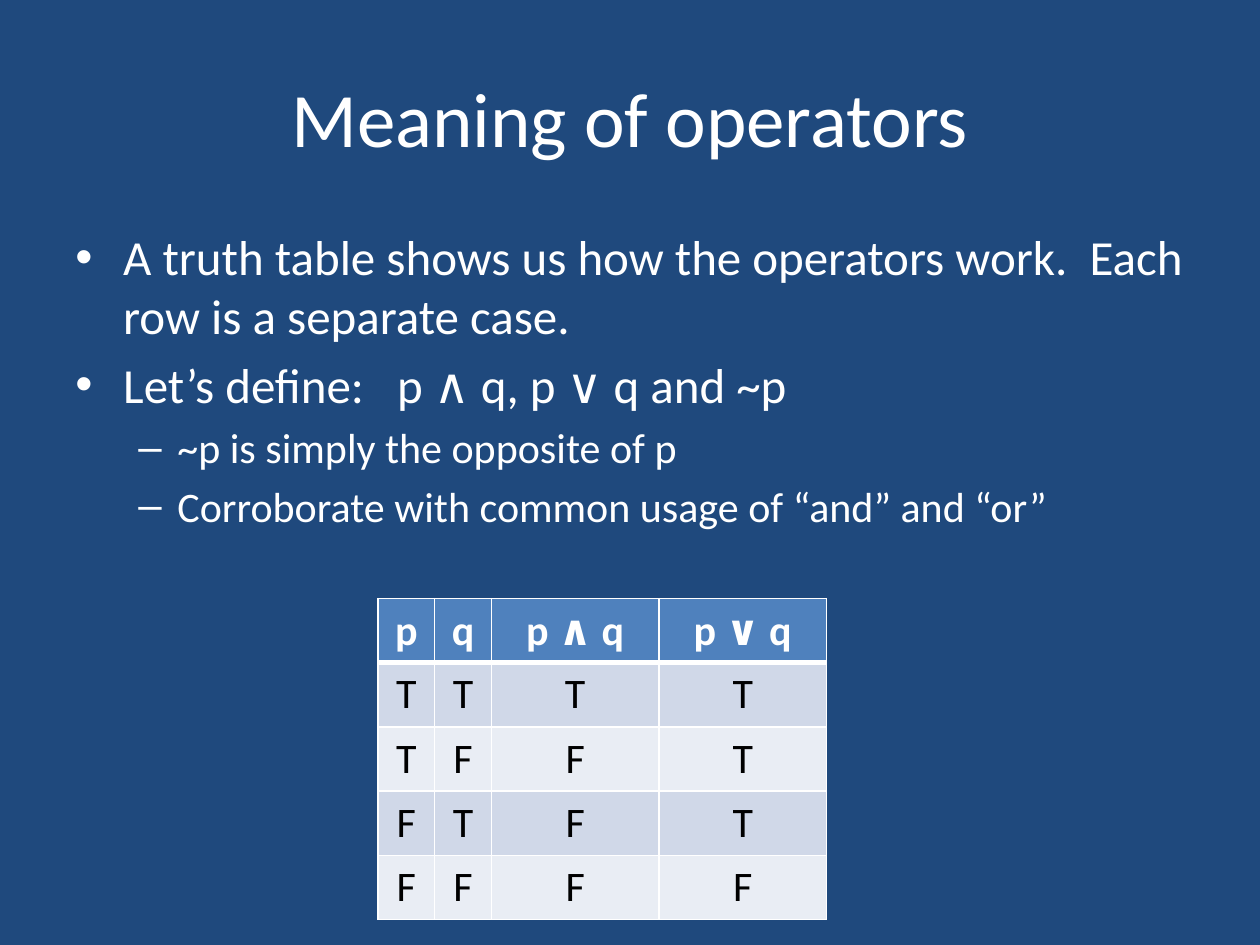
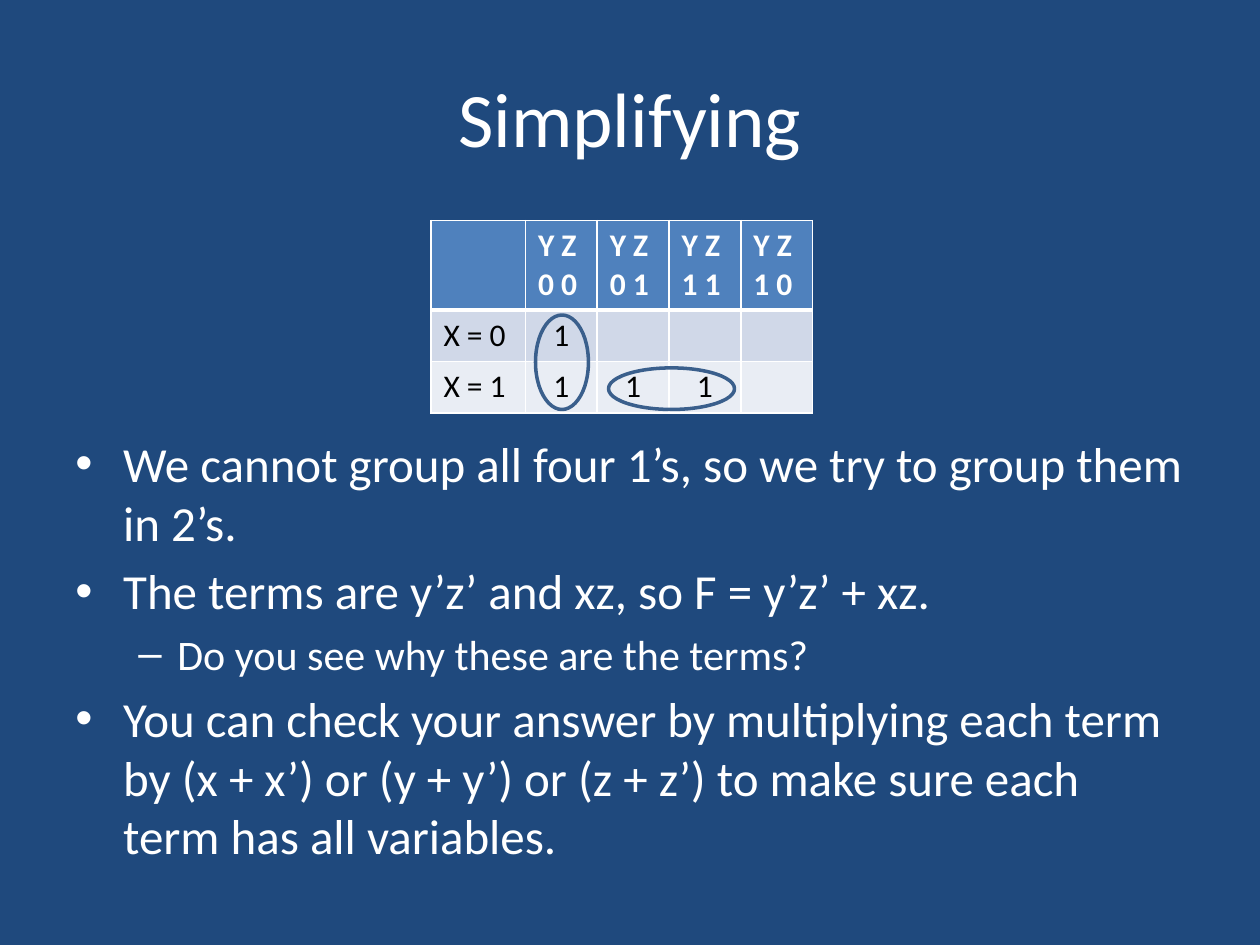
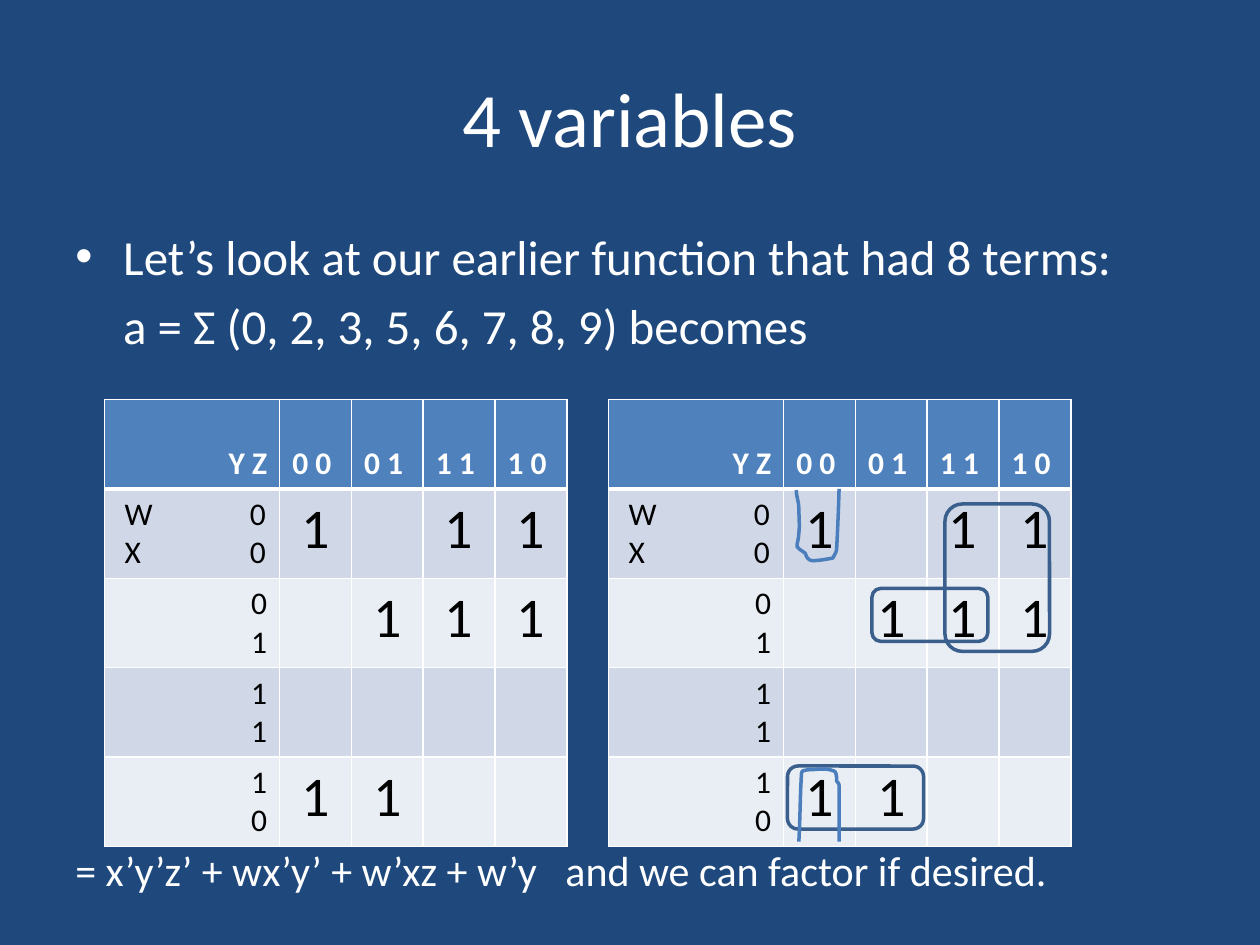
from lxml import etree
from pptx import Presentation
from pptx.dml.color import RGBColor
from pptx.enum.shapes import MSO_SHAPE
from pptx.enum.text import MSO_ANCHOR, PP_ALIGN
from pptx.oxml.ns import qn
from pptx.util import Inches, Pt

LEFT, CENTER, RIGHT = PP_ALIGN.LEFT, PP_ALIGN.CENTER, PP_ALIGN.RIGHT
TOP, MIDDLE, BOTTOM = MSO_ANCHOR.TOP, MSO_ANCHOR.MIDDLE, MSO_ANCHOR.BOTTOM
ELLIPSE, ROUNDED = MSO_SHAPE.OVAL, MSO_SHAPE.ROUNDED_RECTANGLE

BACKGROUND, WHITE, BLACK = "1F497D", "FFFFFF", "000000"
HEADER, ODD_ROW, EVEN_ROW = "4F81BD", "D0D8E8", "E9EDF4"
GROUP_LINE, INK_LINE = "3A5F8C", "4B7EBC"
FONT = "Calibri"

MAIN = (28, 0.38, -0.38, "•")
SUB = (24, 0.81, -0.31, "–")
CONTINUED = (28, 0.38, 0, None)
PLAIN = (24, 0, 0, None)

LABEL_INDENT = 0.16
CELL_MARGIN = 0.1


def color(value):
    return RGBColor.from_string(value)


def flatten_curves(start, curves, steps=6):
    points = [start]
    for first, second, end in curves:
        begin = points[-1]
        for step in range(1, steps + 1):
            t = step / steps
            weights = ((1 - t) ** 3, 3 * t * (1 - t) ** 2, 3 * t * t * (1 - t), t ** 3)
            controls = (begin, first, second, end)
            points.append(tuple(
                sum(weight * control[axis] for weight, control in zip(weights, controls))
                for axis in (0, 1)
            ))
    return points


class Deck:
    def __init__(self):
        self.presentation = Presentation()
        self.presentation.slide_width = Inches(10)
        self.presentation.slide_height = Inches(7.5)
        self.slide = None

    def new_slide(self, title):
        self.slide = self.presentation.slides.add_slide(self.presentation.slide_layouts[6])
        fill = self.slide.background.fill
        fill.solid()
        fill.fore_color.rgb = color(BACKGROUND)
        frame = self.text_frame(0.5, 0.3, 9, 1.25, MIDDLE)
        paragraph = frame.paragraphs[0]
        paragraph.alignment = CENTER
        self.add_run(paragraph, title, 44)

    def text_frame(self, left, top, width, height, anchor=TOP):
        box = self.slide.shapes.add_textbox(
            Inches(left), Inches(top), Inches(width), Inches(height))
        frame = box.text_frame
        frame.word_wrap = True
        frame.vertical_anchor = anchor
        return frame

    def add_run(self, paragraph, text, size, ink=WHITE, bold=False):
        run = paragraph.add_run()
        run.text = text
        font = run.font
        font.name, font.size, font.bold = FONT, Pt(size), bold
        font.color.rgb = color(ink)

    def body(self, top, height, items):
        frame = self.text_frame(0.5, top, 9, height)
        for index, ((size, margin, indent, bullet), text) in enumerate(items):
            paragraph = frame.add_paragraph() if index else frame.paragraphs[0]
            if index:
                paragraph.space_before = Pt(size * 0.2)
            properties = paragraph._p.get_or_add_pPr()
            properties.set("marL", str(Inches(margin)))
            properties.set("indent", str(Inches(indent)))
            if bullet:
                etree.SubElement(properties, qn("a:buFont"), typeface="Arial")
                etree.SubElement(properties, qn("a:buChar"), char=bullet)
            else:
                etree.SubElement(properties, qn("a:buNone"))
            self.add_run(paragraph, text, size)

    def table(self, left, top, widths, heights, rows, size,
              mark_size=None, header_alignment=LEFT, label_alignment=LEFT):
        frame = self.slide.shapes.add_table(
            len(rows), len(widths), Inches(left), Inches(top),
            Inches(sum(widths)), Inches(sum(heights)))
        table = frame.table
        for column, width in zip(table.columns, widths):
            column.width = Inches(width)
        for row, height in zip(table.rows, heights):
            row.height = Inches(height)
        for row_index, values in enumerate(rows):
            for column_index, text in enumerate(values):
                cell = table.cell(row_index, column_index)
                self.style_cell(cell, row_index)
                label = column_index == 0
                alignment = CENTER
                if label:
                    alignment = label_alignment
                elif row_index == 0:
                    alignment = header_alignment
                text_size = size if label or row_index == 0 else mark_size or size
                self.fill_cell(cell, text, text_size, alignment, row_index == 0, widths[column_index])

    def style_cell(self, cell, row_index):
        properties = cell._tc.get_or_add_tcPr()
        borders = {"L": 1, "R": 1, "T": 3 if row_index == 1 else 1, "B": 1 if row_index else 3}
        for side, weight in borders.items():
            line = etree.SubElement(properties, qn(f"a:ln{side}"), w=str(Pt(weight)))
            solid = etree.SubElement(line, qn("a:solidFill"))
            etree.SubElement(solid, qn("a:srgbClr"), val=WHITE)
        cell.fill.solid()
        band = ODD_ROW if row_index % 2 else EVEN_ROW
        cell.fill.fore_color.rgb = color(band if row_index else HEADER)
        cell.vertical_anchor = TOP if row_index else BOTTOM

    def fill_cell(self, cell, text, size, alignment, header, width):
        if not text:
            return
        if "\t" in text:
            cell.margin_left = Inches(LABEL_INDENT)
        for index, line in enumerate(text.split("\n")):
            frame = cell.text_frame
            paragraph = frame.add_paragraph() if index else frame.paragraphs[0]
            paragraph.alignment = alignment
            if "\t" in line:
                paragraph.alignment = LEFT
                stop = Inches(width - LABEL_INDENT - CELL_MARGIN - 0.01)
                tabs = etree.SubElement(paragraph._p.get_or_add_pPr(), qn("a:tabLst"))
                etree.SubElement(tabs, qn("a:tab"), pos=str(stop), algn="r")
            self.add_run(paragraph, line, size, WHITE if header else BLACK, header)

    def outline(self, shape, line_color):
        shape.shadow.inherit = False
        shape.fill.background()
        shape.line.color.rgb = color(line_color)
        shape.line.width = Pt(2)

    def group(self, kind, left, top, width, height):
        shape = self.slide.shapes.add_shape(
            kind, Inches(left), Inches(top), Inches(width), Inches(height))
        self.outline(shape, GROUP_LINE)

    def ink(self, points):
        vertices = [(Inches(x), Inches(y)) for x, y in points]
        builder = self.slide.shapes.build_freeform(*vertices[0])
        builder.add_line_segments(vertices[1:], close=False)
        self.outline(builder.convert_to_shape(), INK_LINE)


def operators_slide(deck):
    deck.new_slide("Meaning of operators")
    deck.body(1.75, 4.95, [
        (MAIN, "A truth table shows us how the operators work.  Each row is a separate case."),
        (MAIN, "Let’s define:   p ∧ q, p ∨ q and ~p"),
        (SUB, "~p is simply the opposite of p"),
        (SUB, "Corroborate with common usage of “and” and “or”"),
    ])
    truth_table = [("p", "q", "p ∧ q", "p ∨ q"), "TTTT", "TFFT", "FTFT", "FFFF"]
    deck.table(3, 4.75, [0.45, 0.45, 1.33, 1.33], [0.51] * 5, truth_table, 24,
               header_alignment=CENTER, label_alignment=CENTER)


def simplifying_slide(deck):
    deck.new_slide("Simplifying")
    deck.body(3.39, 3.86, [
        (MAIN, "We cannot group all four 1’s, so we try to group them in 2’s."),
        (MAIN, "The terms are y’z’ and xz, so F = y’z’ + xz."),
        (SUB, "Do you see why these are the terms?"),
        (MAIN, "You can check your answer by multiplying each term by (x + x’) or "
               "(y + y’) or (z + z’) to make sure each term has all variables."),
    ])
    three_variable_map = [
        ("", "Y Z\n0 0", "Y Z\n0 1", "Y Z\n1 1", "Y Z\n1 0"),
        ("X = 0", "1", "", "", ""),
        ("X = 1", "1", "1", "1", ""),
    ]
    deck.table(3.42, 1.75, [0.75] + [0.57] * 4, [0.71, 0.41, 0.41], three_variable_map, 18)
    deck.group(ELLIPSE, 4.25, 2.5, 0.42, 0.75)
    deck.group(ELLIPSE, 4.83, 2.92, 1, 0.33)


def four_variables_slide(deck):
    deck.new_slide("4 variables")
    deck.body(1.75, 1.3, [
        (MAIN, "Let’s look at our earlier function that had 8 terms:"),
        (CONTINUED, "a = Σ (0, 2, 3, 5, 6, 7, 8, 9) becomes"),
    ])
    deck.body(6.65, 0.6, [
        (PLAIN, "= x’y’z’ + wx’y’ + w’xz + w’y   and we can factor if desired."),
    ])
    four_variable_map = [
        ("Y Z", "0 0", "0 1", "1 1", "1 0"),
        ("W\t0\nX\t0", "1", "", "1", "1"),
        ("0\n1", "", "1", "1", "1"),
        ("1\n1", "", "", "", ""),
        ("1\n0", "1", "1", "", ""),
    ]
    for left in (0.83, 4.83):
        deck.table(left, 3.17, [1.39] + [0.57] * 4, [0.71] * 5, four_variable_map, 18,
                   mark_size=32, label_alignment=RIGHT)
    for left, top, width, height in (
        (7.5, 4, 0.83, 1.17), (6.25, 6.08, 1.08, 0.5), (6.92, 4.67, 0.92, 0.42),
    ):
        deck.group(ROUNDED, left, top, width, height)
    lower_wrap = flatten_curves((6.34, 6.68), [
        ((6.35, 6.51), (6.35, 6.33), (6.36, 6.16)),
        ((6.36, 6.11), (6.37, 6.12), (6.41, 6.11)),
        ((6.48, 6.11), (6.55, 6.09), (6.62, 6.12)),
        ((6.64, 6.13), (6.64, 6.17), (6.64, 6.2)),
        ((6.65, 6.21), (6.66, 6.22), (6.66, 6.24)),
    ])
    deck.ink(lower_wrap + [(6.66, 6.68)])
    deck.ink(flatten_curves((6.32, 3.89), [
        ((6.32, 3.94), (6.34, 3.98), (6.34, 4.03)),
        ((6.37, 4.4), (6.26, 4.3), (6.39, 4.39)),
        ((6.4, 4.41), (6.4, 4.42), (6.41, 4.43)),
        ((6.42, 4.44), (6.43, 4.45), (6.45, 4.45)),
        ((6.5, 4.45), (6.55, 4.44), (6.61, 4.43)),
        ((6.62, 4.41), (6.64, 4.38), (6.64, 4.36)),
        ((6.65, 4.2), (6.66, 3.88), (6.66, 3.88)),
    ]))


def main():
    deck = Deck()
    operators_slide(deck)
    simplifying_slide(deck)
    four_variables_slide(deck)
    deck.presentation.save("out.pptx")


if __name__ == "__main__":
    main()
